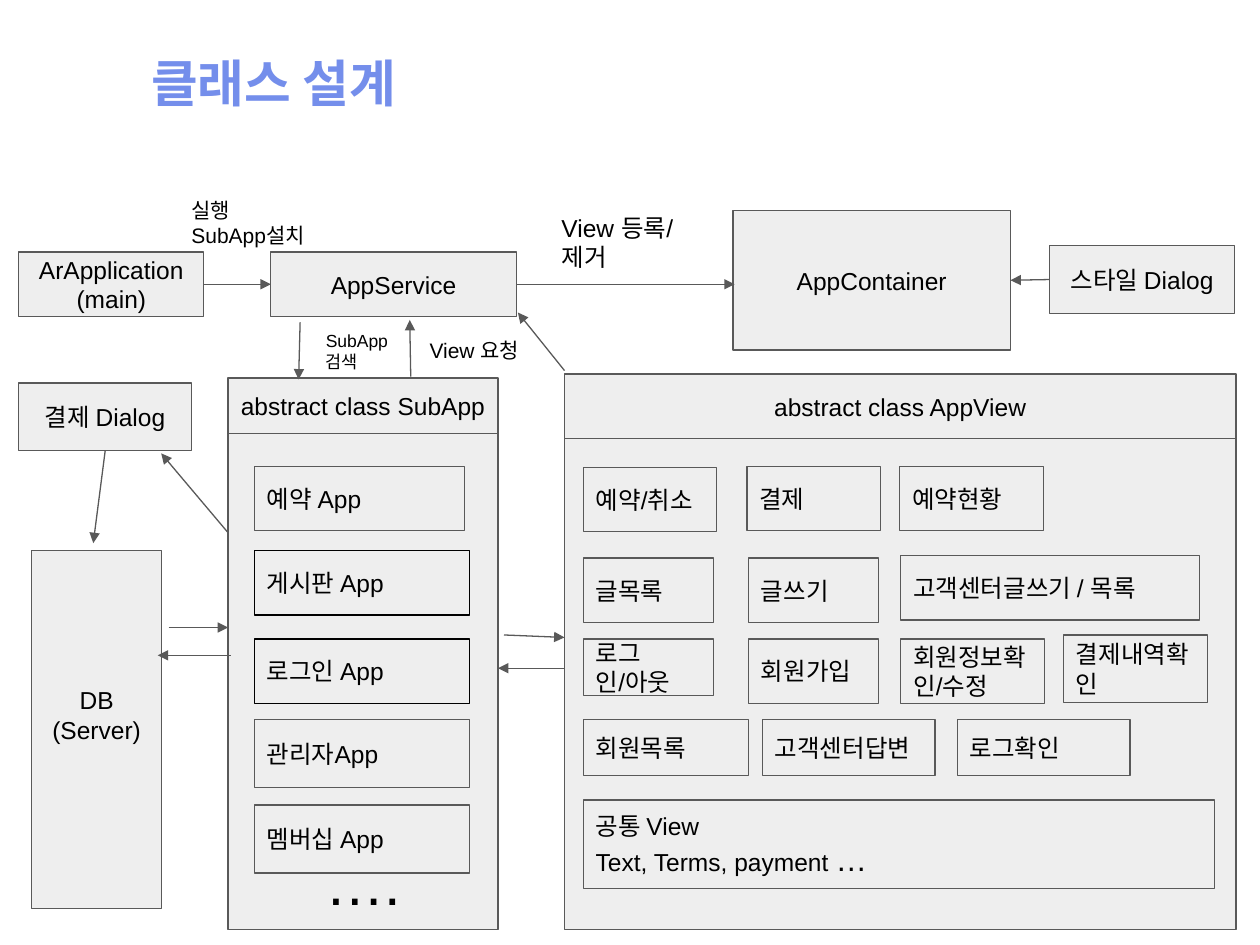
import pptx
import pptx.util
import pptx.dml.color
import pptx.enum.shapes
import pptx.enum.text
import pptx.oxml

Cm, Pt = pptx.util.Cm, pptx.util.Pt
RGB = pptx.dml.color.RGBColor.from_string
ALIGN = pptx.enum.text.PP_ALIGN
ANCHOR = pptx.enum.text.MSO_ANCHOR

THEME = {
    "font": "Arial", "title_font": "Calibri",
    "title": "748EEB", "text": "000000", "fill": "EEEEEE",
    "line": "595959", "accent_line": "000000", "line_width": 0.75,
    "title_size": 29, "body": 14, "label": 12, "small": 10,
    "dots": 34, "ellipsis": 18, "inset": 0.25,
}

TITLE = ("클래스 설계", 2.79, 0.76, 21.29, 1.78)

PANELS = {
    "SubApp": ("….", 4.6, 8.2, 5.44, 10.54),
    "AppView": ("", 11.38, 8.2, 13.54, 10.54),
}

COMPONENTS = {
    "application": ("ArApplication\n(main)", 0.38, 5.08, 3.73, 1.3),
    "service": ("AppService", 5.46, 5.08, 4.95, 1.3),
    "container": ("AppContainer", 14.78, 4.24, 5.59, 2.82),
    "style": ("스타일 Dialog", 21.16, 4.95, 3.73, 1.37),
    "payment": ("결제 Dialog", 0.38, 7.72, 3.48, 1.37),
    "db": ("DB\n(Server)", 0.64, 11.1, 2.62, 7.21),
    "subapp_header": ("abstract class SubApp", 4.6, 7.62, 5.44, 1.12),
    "appview_header": ("abstract class AppView", 11.38, 7.54, 13.54, 1.3),
}

APP_LEFT = 5.13
APPS = [
    ("예약 App", 9.4, 4.24, 1.3, "line"),
    ("게시판 App", 11.1, 4.34, 1.3, "accent_line"),
    ("로그인 App", 12.88, 4.34, 1.3, "accent_line"),
    ("관리자App", 14.5, 4.34, 1.37, "line"),
    ("멤버십 App", 16.23, 4.34, 1.37, "line"),
]

VIEW_LEFT = 11.76
VIEWS = [
    ("예약/취소", VIEW_LEFT, 9.42, 2.69, 1.3),
    ("결제", 15.06, 9.4, 2.69, 1.3),
    ("예약현황", 18.14, 9.4, 2.9, 1.3),
    ("글목록", VIEW_LEFT, 11.25, 2.62, 1.3),
    ("글쓰기", 15.09, 11.25, 2.62, 1.3),
    ("고객센터글쓰기 / 목록", 18.16, 11.2, 6.02, 1.3),
    ("로그인/아웃", VIEW_LEFT, 12.88, 2.62, 1.14),
    ("회원가입", 15.09, 12.88, 2.62, 1.3),
    ("회원정보확인/수정", 18.16, 12.88, 2.9, 1.3),
    ("결제내역확인", 21.44, 12.8, 2.9, 1.37),
    ("회원목록", VIEW_LEFT, 14.5, 3.33, 1.14),
    ("고객센터답변", 15.37, 14.5, 3.48, 1.14),
    ("로그확인", 19.3, 14.5, 3.48, 1.14),
]
COMMON_VIEW = ("공통 View\nText, Terms, payment ", VIEW_LEFT, 16.13, 12.73, 1.78)

LABELS = [
    ("실행\nSubApp설치", 3.61, 3.73, 3.48, 1.55, "label"),
    ("View 등록/\n제거", 11.07, 4.04, 2.92, 1.7, "body"),
    ("SubApp\n검색", 6.32, 6.4, 2.9, 1.37, "small"),
    ("View 요청", 8.41, 6.55, 2.41, 1.02, "label"),
]

TOP, LEFT, BOTTOM, RIGHT = range(4)
ARROWS = [
    (("application", RIGHT), ("service", LEFT)),
    (("service", RIGHT), (14.81, 5.73)),
    (("style", LEFT), ("container", RIGHT)),
    ((6.05, 6.5), (6.02, 7.65)),
    ((8.28, 7.59), (8.26, 6.45)),
    ((11.38, 7.47), (10.44, 6.3)),
    ((4.6, 10.74), (3.25, 9.14)),
    (("payment", BOTTOM), (1.88, 10.95)),
    ((3.4, 12.65), (4.6, 12.65)),
    ((4.65, 13.21), (3.18, 13.21)),
    ((10.16, 12.8), (11.38, 12.85)),
    (("AppView", LEFT), ("SubApp", RIGHT)),
]


def style_run(r, size, font="font", color="text", bold=False):
    r.font.name = THEME[font]
    r.font.size = Pt(THEME[size])
    r.font.color.rgb = RGB(THEME[color])
    r.font.bold = bold


def write(sp, text, size, align, anchor):
    tf = sp.text_frame
    tf.word_wrap = True
    tf.vertical_anchor = anchor
    tf.margin_left = tf.margin_right = Cm(THEME["inset"])
    tf.margin_top = tf.margin_bottom = Cm(THEME["inset"])
    tf.text = text
    for p in tf.paragraphs:
        p.alignment = align
        for r in p.runs:
            style_run(r, size)


def add_box(s, text, x, y, w, h, align=ALIGN.CENTER, line="line",
            size="body", anchor=ANCHOR.MIDDLE):
    sp = s.shapes.add_shape(pptx.enum.shapes.MSO_SHAPE.RECTANGLE,
                            Cm(x), Cm(y), Cm(w), Cm(h))
    sp.shadow.inherit = False
    sp.fill.solid()
    sp.fill.fore_color.rgb = RGB(THEME["fill"])
    sp.line.color.rgb = RGB(THEME[line])
    sp.line.width = Pt(THEME["line_width"])
    write(sp, text, size, align, anchor)
    return sp


def add_label(s, text, x, y, w, h, size):
    sp = s.shapes.add_textbox(Cm(x), Cm(y), Cm(w), Cm(h))
    write(sp, text, size, ALIGN.LEFT, ANCHOR.TOP)
    sp.text_frame.auto_size = pptx.enum.text.MSO_AUTO_SIZE.SHAPE_TO_FIT_TEXT


def add_arrow(s, boxes, start, end):
    points = [(0, 0) if p[0] in boxes else p for p in (start, end)]
    c = s.shapes.add_connector(pptx.enum.shapes.MSO_CONNECTOR.STRAIGHT,
                               *[Cm(v) for p in points for v in p])
    for p, connect in ((start, c.begin_connect), (end, c.end_connect)):
        if p[0] in boxes:
            connect(boxes[p[0]], p[1])
    c.line.color.rgb = RGB(THEME["line"])
    c.line.width = Pt(THEME["line_width"])
    ns = pptx.oxml.ns.qn
    tail = c.line._get_or_add_ln().makeelement(ns("a:tailEnd"), {"type": "triangle"})
    c.line._get_or_add_ln().append(tail)
    sp_pr = c._element.spPr
    sp_pr.append(sp_pr.makeelement(ns("a:effectLst"), {}))


def add_title(s, text, x, y, w, h):
    sp = s.shapes.title
    sp.left, sp.top, sp.width, sp.height = Cm(x), Cm(y), Cm(w), Cm(h)
    tf = sp.text_frame
    tf.text = text
    tf.vertical_anchor = ANCHOR.MIDDLE
    tf.paragraphs[0].alignment = ALIGN.LEFT
    style_run(tf.paragraphs[0].runs[0], "title_size", "title_font", "title", True)


def main():
    prs = pptx.Presentation()
    prs.slide_width, prs.slide_height = Cm(25.4), Cm(19.05)
    s = prs.slides.add_slide(prs.slide_layouts[5])
    add_title(s, *TITLE)

    boxes = {name: add_box(s, *panel, size="dots", anchor=ANCHOR.BOTTOM)
             for name, panel in PANELS.items()}
    for name, component in COMPONENTS.items():
        boxes[name] = add_box(s, *component)
    boxes["db"].text_frame.margin_bottom = Cm(0.85)

    for text, y, w, h, line in APPS:
        add_box(s, text, APP_LEFT, y, w, h, ALIGN.LEFT, line)
    for view in VIEWS:
        add_box(s, *view, align=ALIGN.LEFT)
    common = add_box(s, *COMMON_VIEW, align=ALIGN.LEFT)
    r = common.text_frame.paragraphs[-1].add_run()
    r.text = "…"
    style_run(r, "ellipsis")

    for start, end in ARROWS:
        add_arrow(s, boxes, start, end)
    for label in LABELS:
        add_label(s, *label)
    prs.save("out.pptx")


if __name__ == "__main__":
    main()
